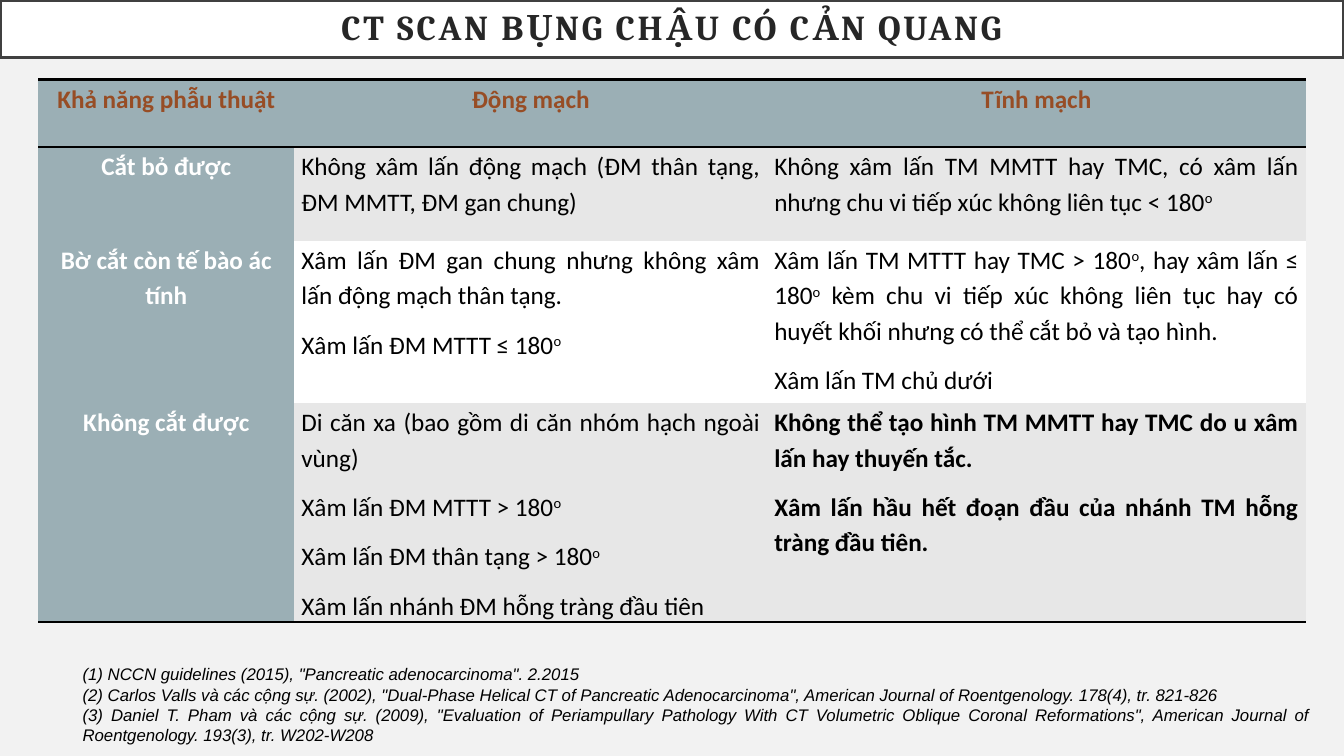
from dataclasses import dataclass

from lxml import etree
from pptx import Presentation
from pptx.dml.color import RGBColor
from pptx.enum.shapes import MSO_SHAPE
from pptx.enum.text import MSO_ANCHOR, PP_ALIGN
from pptx.oxml.ns import qn
from pptx.util import Inches, Pt

RECT = MSO_SHAPE.RECTANGLE
MIDDLE = MSO_ANCHOR.MIDDLE
CENTER, JUSTIFY = PP_ALIGN.CENTER, PP_ALIGN.JUSTIFY
PLAIN = "{2D5ABB26-0587-4C30-8999-92F81FD0307C}"
BLACK, WHITE, TEAL, GRAY = "000000", "FFFFFF", "9BAFB5", "E7E7E7"
SIDES = ("left", "top", "right", "bottom")


@dataclass
class Style:
    font: dict
    color: str
    para: dict


@dataclass
class Row:
    height: float
    fill: str
    cells: list
    edges: tuple = ()


BODY = {"name": "Calibri", "size": Pt(18)}
BOLD = {**BODY, "bold": True}
SPACE = {"line_spacing": 1.15, "space_after": Pt(10)}
MID = {**SPACE, "alignment": CENTER}
JUST = {**SPACE, "alignment": JUSTIFY}

HEAD = Style(BOLD, "974D25", MID)
SIDE = Style(BOLD, WHITE, MID)
TEXT = Style({**BODY, "bold": False}, BLACK, JUST)
STRONG = Style(BOLD, BLACK, JUST)
TITLE = Style({"name": "Cambria", "size": Pt(25), "bold": True}, "262626",
              {"alignment": CENTER, "line_spacing": 0.9})
NOTE = Style({"name": "Arial", "size": Pt(12), "italic": True}, BLACK,
             {"alignment": JUSTIFY})

WIDTHS = (2.54, 4.69, 5.34)
ROWS = [
    Row(0.67, TEAL, [(HEAD, ["Khả năng phẫu thuật"]), (HEAD, ["Động mạch"]),
                     (HEAD, ["Tĩnh mạch"])], ("lnT", "lnB")),
    Row(0.93, GRAY, [
        (SIDE, ["Cắt bỏ được"]),
        (TEXT, ["Không xâm lấn động mạch (ĐM thân tạng, ĐM MMTT, ĐM gan chung)"]),
        (TEXT, ["Không xâm lấn TM MMTT hay TMC, có xâm lấn nhưng chu vi "
                "tiếp xúc không liên tục < 180|o|"])]),
    Row(1.61, WHITE, [
        (SIDE, ["Bờ cắt còn tế bào ác tính"]),
        (TEXT, ["Xâm lấn ĐM gan chung nhưng không xâm lấn động mạch thân tạng.",
                "Xâm lấn ĐM MTTT ≤ 180|o|"]),
        (TEXT, ["Xâm lấn TM MTTT hay TMC > 180|o|, hay xâm lấn ≤ 180|o| kèm chu vi "
                "tiếp xúc không liên tục hay có huyết khối nhưng có thể cắt bỏ "
                "và tạo hình.",
                "Xâm lấn TM chủ dưới"])]),
    Row(1.86, GRAY, [
        (SIDE, ["Không cắt được"]),
        (TEXT, ["Di căn xa (bao gồm di căn nhóm hạch ngoài vùng)",
                "Xâm lấn ĐM MTTT > 180|o|",
                "Xâm lấn ĐM thân tạng > 180|o|",
                "Xâm lấn nhánh ĐM hỗng tràng đầu tiên"]),
        (STRONG, ["Không thể tạo hình TM MMTT hay TMC do u xâm lấn hay thuyến tắc.",
                  "Xâm lấn hầu hết đoạn đầu của nhánh TM hỗng tràng đầu tiên."])],
        ("lnB",)),
]
NOTES = [
    '(1) NCCN guidelines (2015), "Pancreatic adenocarcinoma". 2.2015',
    '(2) Carlos Valls và các cộng sự. (2002), "Dual-Phase Helical CT of Pancreatic '
    'Adenocarcinoma", American Journal of Roentgenology. 178(4), tr. 821-826',
    '(3) Daniel T. Pham và các cộng sự. (2009), "Evaluation of Periampullary Pathology '
    'With CT Volumetric Oblique Coronal Reformations", American Journal of '
    'Roentgenology. 193(3), tr. W202-W208',
]


def paint(target, color: str) -> None:
    target.solid()
    target.fore_color.rgb = RGBColor.from_string(color)


def write(frame, style: Style, lines: list) -> None:
    for i, line in enumerate(lines):
        para = frame.add_paragraph() if i else frame.paragraphs[0]
        for key, value in style.para.items():
            setattr(para, key, value)
        for j, part in enumerate(line.split("|")):
            if not part:
                continue
            run = para.add_run()
            run.text = part
            for key, value in style.font.items():
                setattr(run.font, key, value)
            paint(run.font.fill, style.color)
            if j % 2:
                run.font._element.set("baseline", "30000")


def pad(target, sizes: tuple) -> None:
    for side, size in zip(SIDES, sizes):
        setattr(target, f"margin_{side}", Inches(size))


def rule(cell, edge: str) -> None:
    props = cell._tc.get_or_add_tcPr()
    line = etree.SubElement(props, qn(f"a:{edge}"), w=str(Pt(2)))
    fill = etree.SubElement(line, qn("a:solidFill"))
    etree.SubElement(fill, qn("a:srgbClr"), val=BLACK)


def add_title(slide) -> None:
    box = slide.shapes.add_shape(RECT, 0, 0, Inches(13.33), Inches(0.57))
    box.shadow.inherit = False
    paint(box.fill, WHITE)
    paint(box.line.fill, "404040")
    box.line.width = Pt(2.5)
    frame = box.text_frame
    frame.word_wrap = True
    frame.vertical_anchor = MIDDLE
    pad(frame, (0.2,) * 4)
    write(frame, TITLE, ["CT SCAN BỤNG CHẬU CÓ CẢN QUANG"])
    frame.paragraphs[0].runs[0].font._element.set("spc", "200")


def add_grid(slide) -> None:
    table = slide.shapes.add_table(
        len(ROWS), len(WIDTHS), Inches(0.38), Inches(0.79),
        Inches(sum(WIDTHS)), Inches(sum(row.height for row in ROWS))).table
    table.first_row = table.horz_banding = False
    table._tbl.tblPr.find(qn("a:tableStyleId")).text = PLAIN
    for col, width in zip(table.columns, WIDTHS):
        col.width = Inches(width)
    for r, row in enumerate(ROWS):
        table.rows[r].height = Inches(row.height)
        for c, (style, lines) in enumerate(row.cells):
            cell = table.cell(r, c)
            pad(cell, (0.07, 0, 0.07, 0))
            for edge in row.edges:
                rule(cell, edge)
            paint(cell.fill, row.fill if c else TEAL)
            write(cell.text_frame, style, lines)


def add_notes(slide) -> None:
    box = slide.shapes.add_textbox(Inches(0.72), Inches(6.54), Inches(12.38), Inches(0.91))
    box.text_frame.word_wrap = True
    write(box.text_frame, NOTE, NOTES)


def main() -> None:
    deck = Presentation()
    deck.slide_width, deck.slide_height = Inches(13.33), Inches(7.5)
    slide = deck.slides.add_slide(deck.slide_layouts[6])
    paint(slide.background.fill, "F2F2F2")
    add_title(slide)
    add_grid(slide)
    add_notes(slide)
    deck.save("out.pptx")


if __name__ == "__main__":
    main()
